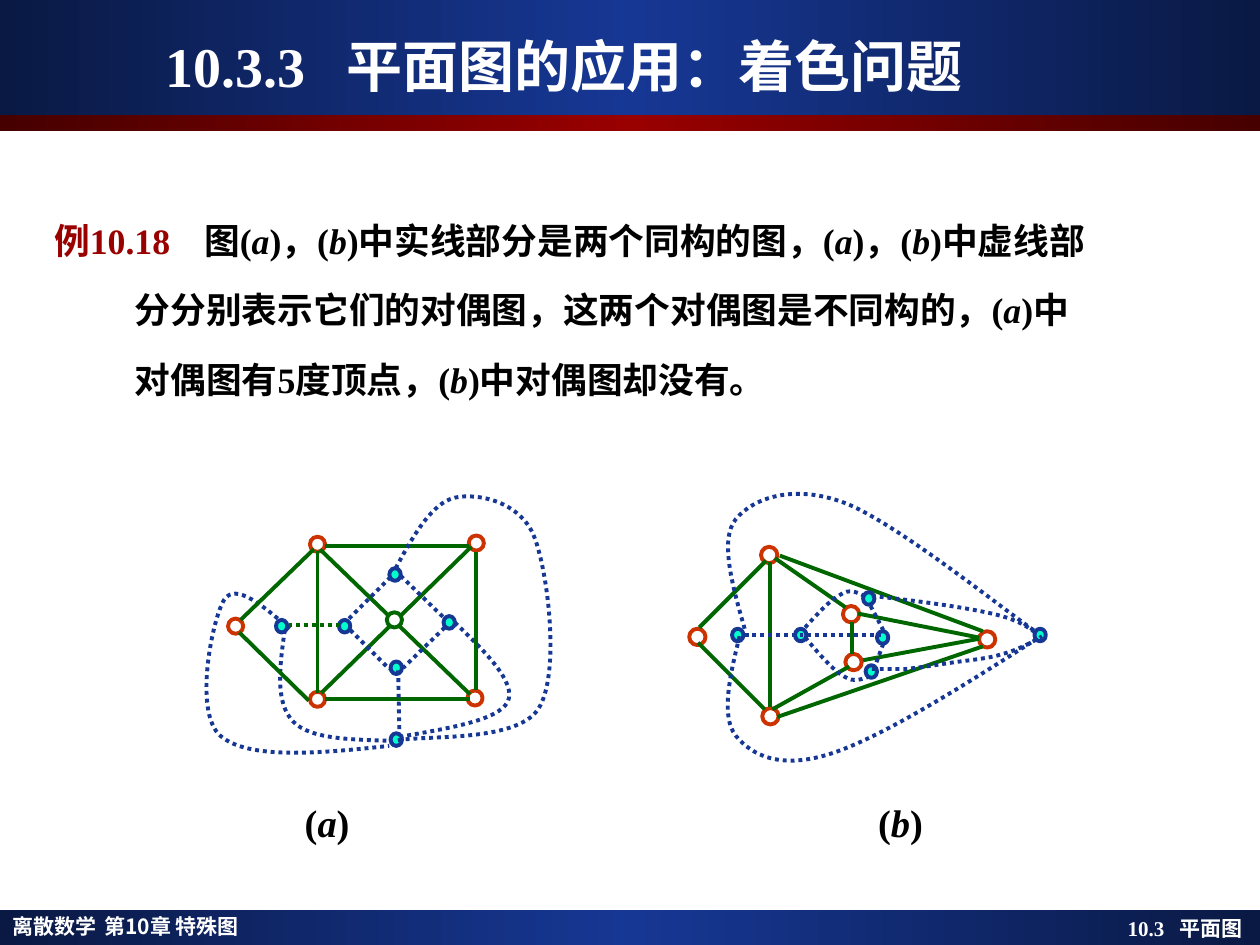
from lxml import etree
from pptx import Presentation
from pptx.dml.color import RGBColor
from pptx.enum.dml import MSO_LINE
from pptx.enum.shapes import MSO_CONNECTOR, MSO_SHAPE
from pptx.enum.text import MSO_ANCHOR
from pptx.oxml import parse_xml
from pptx.oxml.ns import nsdecls, qn
from pptx.util import Cm, Pt

BLUE, GREEN, RED, CYAN, WHITE = "163794", "006600", "CC3300", "00FFCC", "FFFFFF"
NAVY, MAROON, CRIMSON, BLACK = "0A1944", "460000", "990000", "000000"
SERIF, SANS = "Times New Roman", "Noto Sans CJK JP"
LINE_WIDTH = Pt(2.25)
DUAL_SIZE = (0.09, 0.1)

GRAPH_A = {
    "node_size": (0.12, 0.12),
    "nodes": [(2.46, 4.26), (3.72, 4.25), (3.71, 5.48), (2.46, 5.49), (1.81, 4.91)],
    "edges": [(2.52, 4.37, 2.52, 5.5), (2.58, 5.55, 3.73, 5.55), (3.78, 4.38, 3.78, 5.48),
              (2.58, 4.33, 3.72, 4.33), (2.54, 4.36, 3.73, 5.51), (3.74, 4.34, 2.55, 5.5),
              (1.9, 5.02, 2.45, 5.56), (2.49, 4.36, 1.91, 4.92)],
    "center_nodes": [(3.07, 4.86)],
    "dual_nodes": [(3.1, 5.82), (3.52, 4.89), (2.19, 4.92), (3.09, 4.51), (2.69, 4.92), (3.1, 5.25)],
    "dual_edges": [(3.18, 4.57, 3.53, 4.91), (3.1, 4.58, 2.76, 4.92), (2.78, 5, 3.09, 5.31),
                   (3.53, 4.98, 3.2, 5.3), (3.16, 5.32, 3.17, 5.82)],
    "green_dual_edges": [(2.29, 4.96, 2.71, 4.96)],
    "back_curves": [
        [(3.61, 4.94), (3.86, 5.18), (4.1, 5.42), (4.03, 5.57), (3.95, 5.72), (3.56, 5.78), (3.16, 5.85)],
        [(2.26, 5), (2.22, 5.29), (2.18, 5.58), (2.33, 5.73), (2.47, 5.87), (2.8, 5.87), (3.13, 5.88)],
        [(2.3, 4.99), (2.09, 4.81), (1.87, 4.62), (1.78, 4.76), (1.69, 4.9), (1.53, 5.65), (1.75, 5.84),
         (1.97, 6.03), (2.53, 5.98), (3.09, 5.92)]],
    "front_curves": [
        [(3.14, 4.51), (3.28, 4.25), (3.43, 3.99), (3.61, 3.95), (3.79, 3.91), (4.13, 3.98), (4.24, 4.26),
         (4.35, 4.54), (4.45, 5.36), (4.27, 5.63), (4.09, 5.9), (3.33, 5.83), (3.14, 5.88)]],
}
GRAPH_B = {
    "node_size": (0.13, 0.13),
    "nodes": [(5.47, 4.99), (6.04, 4.34), (6.05, 5.62), (6.69, 4.81), (6.71, 5.19), (7.77, 5.01)],
    "edges": [(6.11, 4.46, 6.11, 5.61), (6.76, 4.94, 6.76, 5.19), (6.08, 4.45, 5.55, 4.98),
              (5.54, 5.1, 6.07, 5.63), (6.13, 5.63, 6.74, 5.29), (6.15, 4.43, 6.71, 4.82),
              (6.19, 4.41, 7.8, 5.01), (6.17, 5.69, 7.8, 5.13), (6.81, 4.87, 7.77, 5.06),
              (6.85, 5.24, 7.77, 5.07)],
    "center_nodes": [],
    "dual_nodes": [(6.96, 5.01), (6.87, 5.28), (6.85, 4.7), (6.31, 4.99), (5.81, 4.99), (8.21, 4.99)],
    "dual_edges": [(5.91, 5.04, 6.99, 5.04), (7.01, 5.11, 6.94, 5.3), (6.91, 4.81, 7.02, 5.02)],
    "green_dual_edges": [],
    "back_curves": [],
    "front_curves": [
        [(6.39, 4.98), (6.49, 4.87), (6.59, 4.76), (6.67, 4.72), (6.74, 4.67), (6.8, 4.7), (6.86, 4.73)],
        [(6.39, 5.06), (6.5, 5.19), (6.61, 5.32), (6.7, 5.37), (6.78, 5.42), (6.84, 5.39), (6.9, 5.37)],
        [(5.87, 5.05), (5.79, 5.37), (5.72, 5.69), (5.84, 5.84), (5.97, 6), (6.2, 6.11), (6.6, 5.98),
         (7, 5.85), (7.62, 5.46), (8.23, 5.07)],
        [(5.91, 4.99), (5.81, 4.64), (5.71, 4.28), (5.84, 4.12), (5.98, 3.95), (6.3, 3.84), (6.7, 3.99),
         (7.1, 4.14), (7.98, 4.85), (8.23, 5.02)],
        [(6.92, 4.73), (7.29, 4.77), (7.65, 4.82), (7.87, 4.87), (8.09, 4.92), (8.16, 4.98), (8.23, 5.03)],
        [(6.92, 5.31), (7, 5.31), (7.08, 5.31), (7.19, 5.31), (7.29, 5.3), (7.42, 5.28), (7.55, 5.26),
         (7.68, 5.24), (7.84, 5.23), (7.96, 5.19), (8.08, 5.16), (8.22, 5.08), (8.27, 5.05)]],
}


def lengths(*inches):
    return [Cm(value * 2.54) for value in inches]


def color(value):
    return RGBColor.from_string(value)


def style_line(line, line_color, dotted=False):
    line.color.rgb = color(line_color)
    line.width = LINE_WIDTH
    if dotted:
        line.dash_style = MSO_LINE.ROUND_DOT


def add_band(slide, top, height, edge, middle):
    shape = slide.shapes.add_shape(MSO_SHAPE.RECTANGLE, *lengths(0, top, 10, height))
    shape.shadow.inherit = False
    shape.line.fill.background()
    stops = "".join(f'<a:gs pos="{position}"><a:srgbClr val="{value}"/></a:gs>'
                    for position, value in ((0, edge), (50000, middle), (100000, edge)))
    gradient = parse_xml(f'<a:gradFill {nsdecls("a")} rotWithShape="1"><a:gsLst>{stops}</a:gsLst>'
                         '<a:lin ang="10800000" scaled="0"/></a:gradFill>')
    shape._element.spPr.find(qn("a:prstGeom")).addnext(gradient)


def add_nodes(slide, positions, size, fill_color, line_color):
    for position in positions:
        shape = slide.shapes.add_shape(MSO_SHAPE.OVAL, *lengths(*position, *size))
        shape.shadow.inherit = False
        shape.fill.solid()
        shape.fill.fore_color.rgb = color(fill_color)
        style_line(shape.line, line_color)


def add_edges(slide, edges, line_color, dotted=False):
    for edge in edges:
        connector = slide.shapes.add_connector(MSO_CONNECTOR.STRAIGHT, *lengths(*edge))
        style_line(connector.line, line_color, dotted)
        etree.SubElement(connector._element.spPr, qn("a:effectLst"))


def add_curves(slide, curves):
    for points in curves:
        start, *others = [lengths(*point) for point in points]
        builder = slide.shapes.build_freeform(*start)
        builder.add_line_segments(others, close=False)
        shape = builder.convert_to_shape()
        segments = list(shape._element.iter(qn("a:lnTo")))
        for index in range(0, len(segments), 3):
            bezier = etree.Element(qn("a:cubicBezTo"))
            segments[index].addprevious(bezier)
            for segment in segments[index:index + 3]:
                bezier.append(segment[0])
                segment.getparent().remove(segment)
        shape.shadow.inherit = False
        shape.fill.background()
        style_line(shape.line, BLUE, dotted=True)


def add_graph(slide, graph):
    add_curves(slide, graph["back_curves"])
    add_nodes(slide, graph["nodes"], graph["node_size"], WHITE, RED)
    add_edges(slide, graph["edges"], GREEN)
    add_nodes(slide, graph["center_nodes"], graph["node_size"], WHITE, GREEN)
    add_nodes(slide, graph["dual_nodes"], DUAL_SIZE, CYAN, BLUE)
    add_edges(slide, graph["dual_edges"], BLUE, dotted=True)
    add_edges(slide, graph["green_dual_edges"], GREEN, dotted=True)
    add_curves(slide, graph["front_curves"])


def add_runs(paragraph, text, size, text_color, font_name=SERIF):
    for index, piece in enumerate(text.split("*")):
        run = paragraph.add_run()
        run.text = piece
        run.font.name, run.font.size = font_name, Pt(size)
        run.font.bold, run.font.italic = True, index % 2 == 1
        run.font.color.rgb = color(text_color)


def add_box(slide, place, inset, tab, line_spacing=1.0):
    frame = slide.shapes.add_textbox(*lengths(*place)).text_frame
    frame.word_wrap = True
    frame.margin_left, = lengths(inset)
    paragraph = frame.paragraphs[0]
    paragraph.line_spacing = line_spacing
    tabs = etree.SubElement(paragraph._p.get_or_add_pPr(), qn("a:tabLst"))
    position, = lengths(tab)
    etree.SubElement(tabs, qn("a:tab"), pos=str(int(position)), algn="l")
    return frame


def add_example(slide):
    frame = add_box(slide, (0.2, 1.55, 9.46, 1.97), 0.23, 1.19, 1.4)
    add_runs(frame.paragraphs[0], "例10.18\t", 20.4, CRIMSON)
    add_runs(frame.paragraphs[0], "图(*a*)，(*b*)中实线部分是两个同构的图，(*a*)，(*b*)中虚线部", 20.4, BLACK)
    for text in ("分分别表示它们的对偶图，这两个对偶图是不同构的，(*a*)中",
                 "对偶图有5度顶点，(*b*)中对偶图却没有。"):
        paragraph = frame.add_paragraph()
        paragraph.line_spacing, paragraph.space_before = 1.4, Pt(5.5)
        margin, = lengths(0.64)
        paragraph._p.get_or_add_pPr().set("marL", str(int(margin)))
        add_runs(paragraph, text, 20.4, BLACK)


def main():
    presentation = Presentation()
    presentation.slide_width, presentation.slide_height = lengths(10, 7.5)
    slide = presentation.slides.add_slide(presentation.slide_layouts[6])
    add_band(slide, 7.22, 0.28, NAVY, BLUE)
    add_band(slide, 0, 0.91, NAVY, BLUE)
    add_band(slide, 0.91, 0.13, MAROON, CRIMSON)
    chapter = add_box(slide, (0, 7.22, 4.13, 0.28), 0.1, 0.73, 0.9)
    add_runs(chapter.paragraphs[0], "离散数学\t第10章 特殊图", 12, WHITE, SANS)
    add_example(slide)
    title = add_box(slide, (0.35, 0.21, 9.25, 0.62), 0.96, 1.44)
    title.vertical_anchor = MSO_ANCHOR.MIDDLE
    add_runs(title.paragraphs[0], "10.3.3\t平面图的应用：着色问题", 32, WHITE)
    section = add_box(slide, (7.44, 7.22, 2.56, 0.3), 1.51, 0.41)
    add_runs(section.paragraphs[0], "10.3\t平面图", 12, WHITE)
    add_graph(slide, GRAPH_A)
    add_graph(slide, GRAPH_B)
    captions = add_box(slide, (2.32, 6.11, 6.38, 0.79), 0.1, 4.55, 1.5)
    add_runs(captions.paragraphs[0], "(*a*)\t(*b*)", 22, BLACK)
    presentation.save("out.pptx")


if __name__ == "__main__":
    main()
